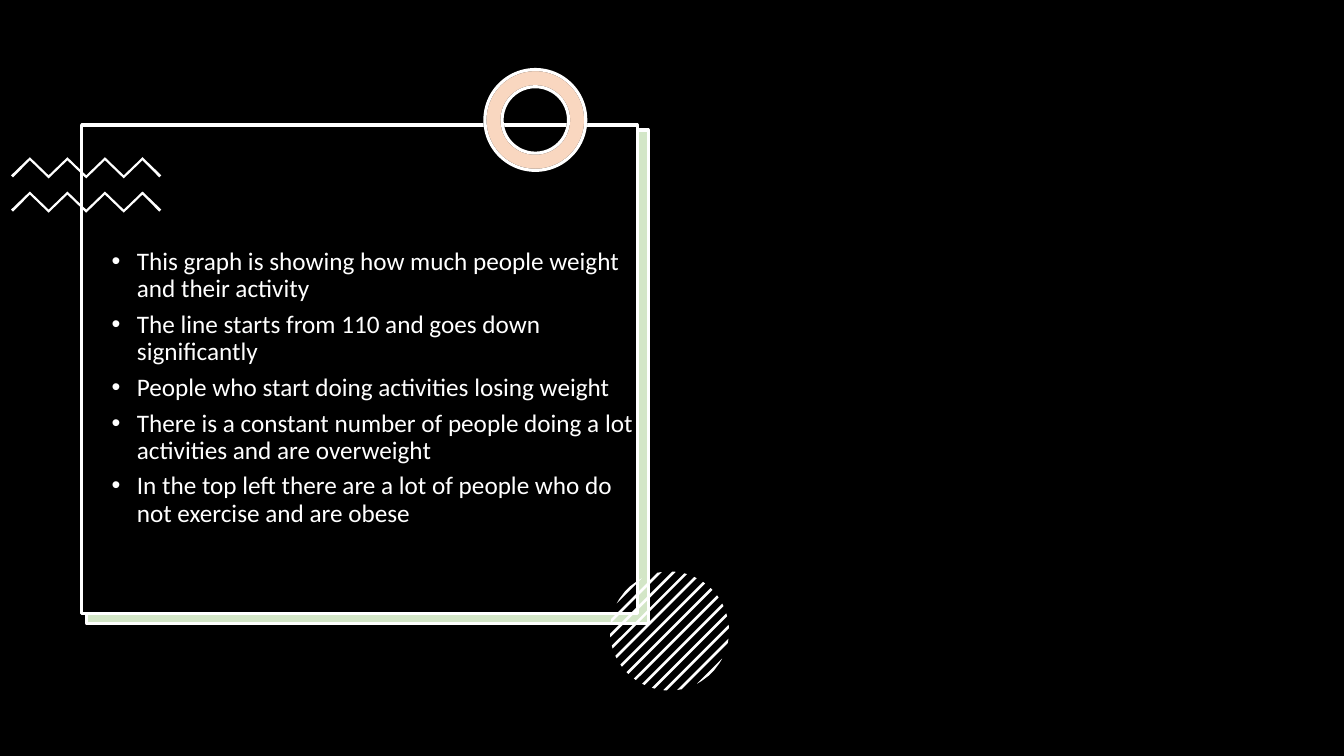
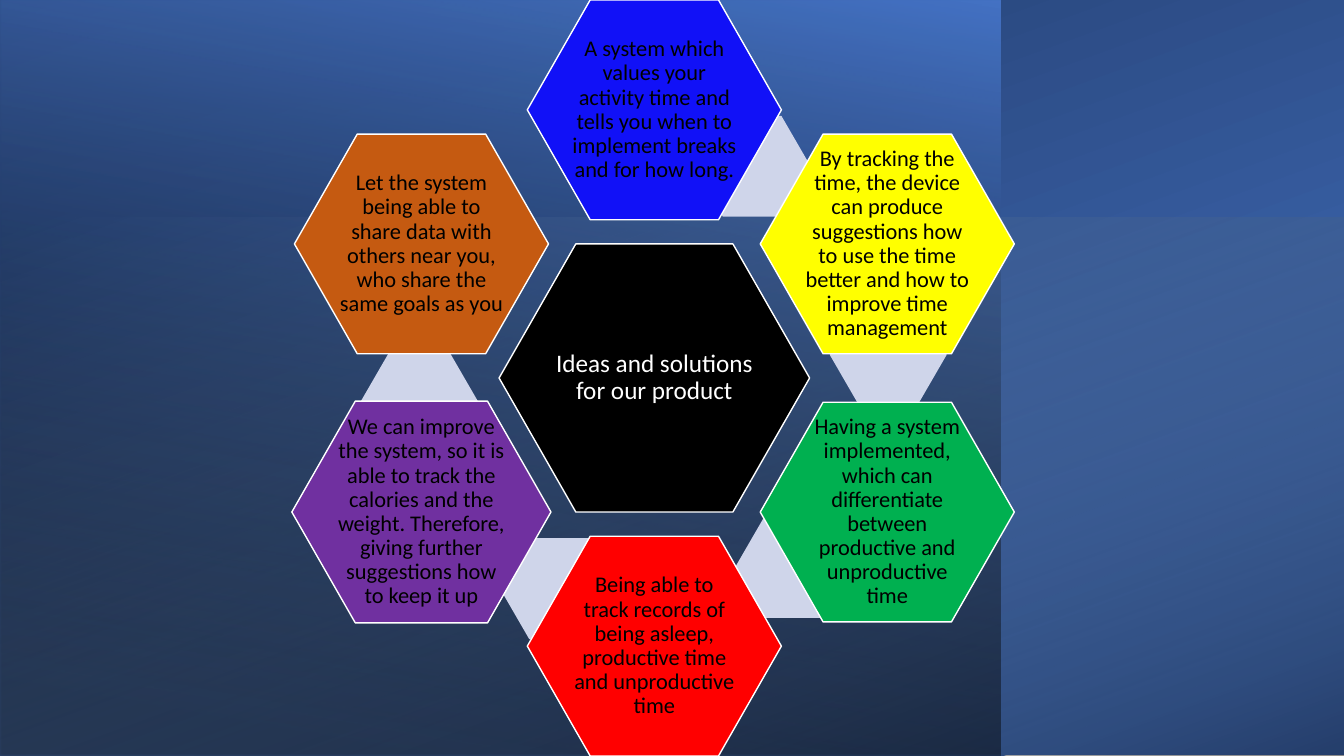
from dataclasses import dataclass
from math import sqrt

from lxml.etree import SubElement
from pptx import Presentation
from pptx.dml.color import RGBColor
from pptx.enum.shapes import MSO_SHAPE
from pptx.enum.text import MSO_ANCHOR, PP_ALIGN
from pptx.oxml.ns import qn
from pptx.util import Inches, Pt

# Shared style
COLORS = {
    "black": "000000", "white": "FFFFFF", "green": "70AD47", "orange": "ED7D31",
    "blue": "4472C4", "navy": "203864", "sky": "9DC3E6", "link": "CFD5EA",
    "royal": "1111F7", "yellow": "FFFF00", "emerald": "00B050",
    "red": "FF0000", "purple": "7030A0", "rust": "C55A11",
}
FONT = "Calibri"
SLIDE_W, SLIDE_H = 13.33, 7.5


@dataclass(frozen=True)
class Box:
    left: float
    top: float
    width: float
    height: float

    @classmethod
    def around(cls, x: float, y: float, width: float, height: float) -> "Box":
        return cls(x - width / 2, y - height / 2, width, height)

    def lengths(self) -> list[int]:
        return [Inches(v) for v in (self.left, self.top, self.width, self.height)]


@dataclass(frozen=True)
class Stop:
    position: int
    color: str
    alpha: int = 100


@dataclass(frozen=True)
class GradientLayer:
    box: Box
    rotation: int
    angle: int
    stops: tuple[Stop, ...]


@dataclass(frozen=True)
class Idea:
    column: int
    row: int
    color: str
    text: str
    link: tuple[float, float] | None = None
    size: tuple[float, float] = (2.52, 2.18)


def rgb(name: str) -> RGBColor:
    return RGBColor.from_string(COLORS[name])


def add_alpha(color_element, percent: int) -> None:
    SubElement(color_element, qn("a:alpha")).set("val", str(percent * 1000))


def style(shape, fill: str, *, alpha: int = 100, line: str | None = None,
          line_width: float = 2.25) -> None:
    shape.shadow.inherit = False
    shape.fill.solid()
    shape.fill.fore_color.rgb = rgb(fill)
    if alpha < 100:
        add_alpha(shape._element.spPr.find(qn("a:solidFill"))[0], alpha)
    if line:
        shape.line.color.rgb = rgb(line)
        shape.line.width = Pt(line_width)
    else:
        shape.line.fill.background()


def add_preset(slide, preset, box: Box, fill: str, *, adjust: float | None = None, **look):
    shape = slide.shapes.add_shape(preset, *box.lengths())
    if adjust is not None:
        shape.adjustments[0] = adjust
    style(shape, fill, **look)
    return shape


def add_outline(slide, points: list[tuple[float, float]], fill: str) -> None:
    corners = [(Inches(x), Inches(y)) for x, y in points]
    builder = slide.shapes.build_freeform(*corners[0])
    builder.add_line_segments(corners[1:], close=True)
    style(builder.convert_to_shape(), fill)


def add_gradient(slide, layer: GradientLayer) -> None:
    shape = add_preset(slide, MSO_SHAPE.RECTANGLE, layer.box, "blue")
    shape.rotation = layer.rotation
    properties = shape._element.spPr
    properties.find(qn("a:xfrm")).set("flipH", "1")
    shape.fill.gradient()
    gradient = properties.find(qn("a:gradFill"))
    gradient.clear()
    stop_list = SubElement(gradient, qn("a:gsLst"))
    for stop in layer.stops:
        entry = SubElement(stop_list, qn("a:gs"), pos=str(stop.position * 1000))
        color = SubElement(entry, qn("a:srgbClr"), val=COLORS[stop.color])
        if stop.alpha < 100:
            add_alpha(color, stop.alpha)
    SubElement(gradient, qn("a:lin"), ang=str(layer.angle * 60000), scaled="0")


def write(shape, lines: list[str], *, size: int = 18, color: str = "white",
          align=PP_ALIGN.LEFT, anchor=MSO_ANCHOR.TOP, inset: float | None = None,
          bullet: str | None = None, space_after: int = 0) -> None:
    frame = shape.text_frame
    frame.word_wrap = True
    frame.vertical_anchor = anchor
    if inset is not None:
        frame.margin_left = frame.margin_right = Inches(inset)
        frame.margin_top = frame.margin_bottom = Inches(inset)
    for index, line in enumerate(lines):
        paragraph = frame.add_paragraph() if index else frame.paragraphs[0]
        paragraph.alignment = align
        paragraph.line_spacing = 0.9
        paragraph.space_after = Pt(space_after)
        run = paragraph.add_run()
        run.text = line
        run.font.name = FONT
        run.font.size = Pt(size)
        run.font.color.rgb = rgb(color)
        if bullet:
            properties = paragraph._p.get_or_add_pPr()
            properties.set("marL", str(Inches(0.31)))
            properties.set("indent", str(Inches(-0.25)))
            SubElement(properties, qn("a:buFont"), typeface="Arial")
            SubElement(properties, qn("a:buChar"), char=bullet)


# Slide 1: framed findings
FINDINGS = [
    "This graph is showing how much people weight and their activity",
    "The line starts from 110 and goes down significantly",
    "People who start doing activities losing weight",
    "There is a constant number of people doing a lot activities and are overweight",
    "In the top left there are a lot of people who do not exercise and are obese",
]


def add_zigzag(slide, top: float) -> None:
    left, pitch, depth, thickness, last = 0.11, 0.19, 0.18, 0.03, 8
    pitch = 1.49 / last
    upper = [(left + k * pitch, top + (0 if k % 2 else depth)) for k in range(last + 1)]
    lower = [(x, y + thickness) for x, y in upper[1:-1]]
    start, end = upper[0], upper[-1]
    tip = 0.02
    add_outline(slide, [*upper, (end[0] - tip, end[1] + tip), *reversed(lower),
                        (start[0] + tip, start[1] + tip)], "white")


def add_striped_disc(slide, x: float, y: float, radius: float) -> None:
    step, half_width, count = 0.096, 0.013, 13
    for index in range(count):
        middle = (index - count // 2) * step
        offsets = [max(-radius, min(radius, middle + part * half_width))
                   for part in (-1, 0, 1)]
        chords = [(d, sqrt(radius ** 2 - d ** 2)) for d in offsets]
        rim = chords + [(d, -half) for d, half in reversed(chords)]
        # Turn each stripe by 45 degrees
        add_outline(slide, [(x + (d + along) / sqrt(2), y + (d - along) / sqrt(2))
                            for d, along in rim], "white")


def build_findings(slide) -> None:
    rectangle = MSO_SHAPE.RECTANGLE
    add_preset(slide, rectangle, Box(0, 0, SLIDE_W, SLIDE_H), "black")

    # Frame with offset backing
    add_preset(slide, rectangle, Box(0.85, 1.3, 5.57, 4.9), "white")
    add_preset(slide, rectangle, Box(0.86, 1.29, 5.57, 4.9), "green", alpha=30, line="white")
    add_preset(slide, rectangle, Box(0.81, 1.24, 5.51, 4.85), "black", line="white")

    # Ornaments
    for top in (1.56, 1.9):
        add_zigzag(slide, top)
    ring = Box(4.81, 0.69, 1, 1)
    add_preset(slide, MSO_SHAPE.DONUT, ring, "white", adjust=0.17, line="black")
    add_preset(slide, MSO_SHAPE.DONUT, ring, "orange", adjust=0.17, alpha=30, line="white")
    add_striped_disc(slide, 6.64, 6.26, 0.59)

    findings = slide.shapes.add_textbox(*Box(0.95, 2.42, 5.44, 4.76).lengths())
    write(findings, FINDINGS, bullet="•", space_after=6)


# Slide 2: hexagon ring of ideas
LAYERS = [
    GradientLayer(Box(2.92, -2.92, SLIDE_H, SLIDE_W), 270, 200,
                  (Stop(8, "blue"), Stop(100, "navy"))),
    GradientLayer(Box(0, 0, 9.92, SLIDE_H), 180, 80,
                  (Stop(8, "black", 52), Stop(100, "blue"))),
    GradientLayer(Box(3.99, -1.84, 5.35, 13.34), 270, 20,
                  (Stop(0, "sky", 0), Stop(100, "black", 46))),
]
IDEAS = [
    Idea(0, -2, "royal", "A system which values your activity time and tells you when "
         "to implement breaks and for how long.", (6.88, 1.15)),
    Idea(1, -1, "yellow", "By tracking the time, the device can produce suggestions how "
         "to use the time better and how to improve time management", (8.23, 3.02)),
    Idea(1, 1, "emerald", "Having a system implemented, which can differentiate between "
         "productive and unproductive time", (7.29, 5.13)),
    Idea(0, 2, "red", "Being able to track records of being asleep, productive time "
         "and unproductive time", (4.96, 5.34)),
    Idea(-1, 1, "purple", "We can improve the system, so it is able to track the calories "
         "and the weight. Therefore, giving further suggestions how to keep it up",
         (3.58, 3.48), (2.57, 2.2)),
    Idea(-1, -1, "rust", "Let the system being able to share data with others near you, "
         "who share the same goals as you"),
]


def add_hexagon(slide, box: Box, fill: str, text: str, **text_format) -> None:
    hexagon = add_preset(slide, MSO_SHAPE.HEXAGON, box, fill, adjust=0.286,
                         line="white", line_width=1)
    write(hexagon, [text], align=PP_ALIGN.CENTER, anchor=MSO_ANCHOR.MIDDLE, **text_format)


def build_ideas(slide) -> None:
    for layer in LAYERS:
        add_gradient(slide, layer)

    hub_x, hub_y, column_step, row_step = 6.49, 3.75, 2.31, 1.33
    add_hexagon(slide, Box.around(hub_x, hub_y, 3.08, 2.66), "black",
                "Ideas and solutions for our product", inset=0.03)
    for idea in IDEAS:
        if idea.link:
            add_preset(slide, MSO_SHAPE.HEXAGON, Box(*idea.link, 1.16, 1), "link", adjust=0.289)
        box = Box.around(hub_x + idea.column * column_step,
                         hub_y + idea.row * row_step, *idea.size)
        add_hexagon(slide, box, idea.color, idea.text, size=16, color="black", inset=0.02)


def main() -> None:
    deck = Presentation()
    deck.slide_width, deck.slide_height = Inches(SLIDE_W), Inches(SLIDE_H)
    blank = deck.slide_layouts[6]
    for build in (build_findings, build_ideas):
        build(deck.slides.add_slide(blank))
    deck.save("out.pptx")


if __name__ == "__main__":
    main()
